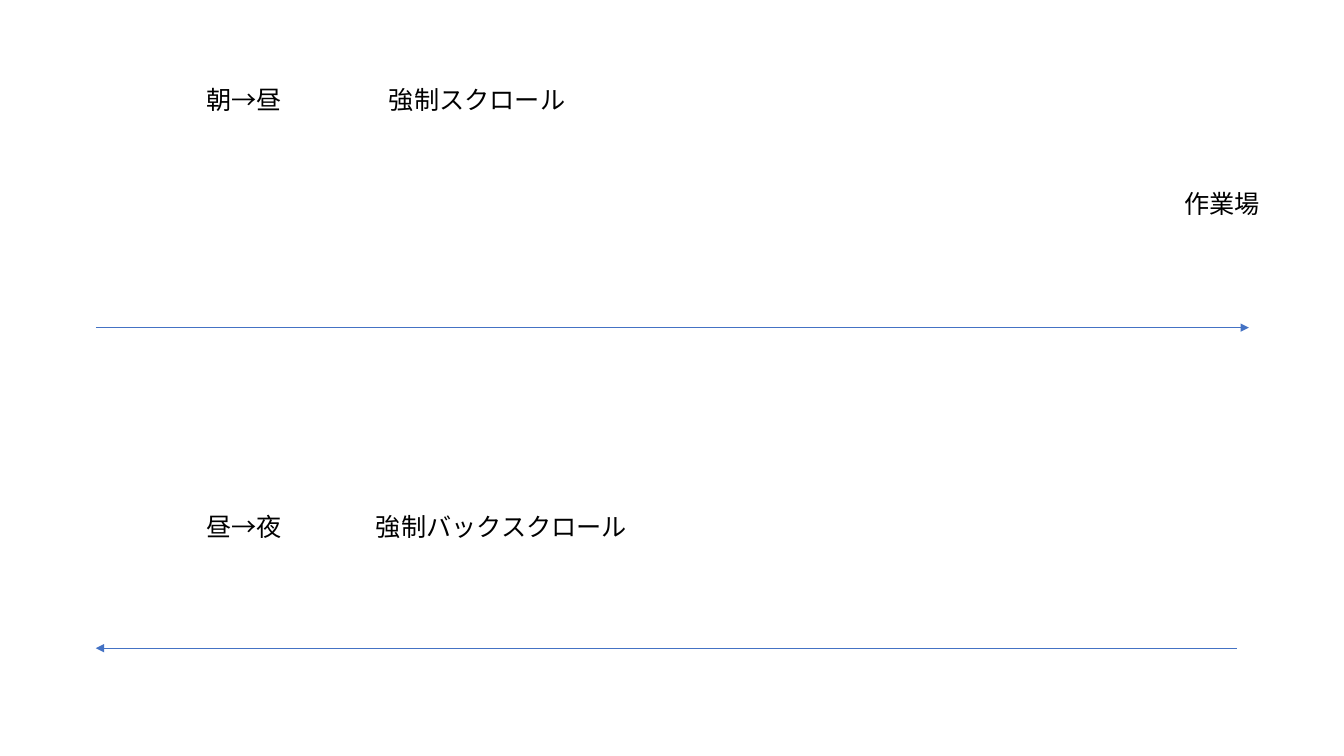
from dataclasses import dataclass

from lxml import etree
from pptx import Presentation
from pptx import util as u
from pptx.dml import color
from pptx.enum import shapes, text
from pptx.oxml import ns


@dataclass(frozen=True)
class Theme:
    font: str = "Noto Sans CJK JP"
    size: float = 18
    ink: str = "000000"
    arrow: str = "4472C4"
    arrow_width: float = 0.5


THEME = Theme()
LABEL_HEIGHT = 29.1


def add_label(slide, left, top, width, words):
    shape = slide.shapes.add_textbox(u.Pt(left), u.Pt(top), u.Pt(width), u.Pt(LABEL_HEIGHT))
    frame_format = {"word_wrap": False, "auto_size": text.MSO_AUTO_SIZE.SHAPE_TO_FIT_TEXT}
    for name, value in frame_format.items():
        setattr(shape.text_frame, name, value)
    run = shape.text_frame.paragraphs[0].add_run()
    run.text = words
    for name, value in {"name": THEME.font, "size": u.Pt(THEME.size)}.items():
        setattr(run.font, name, value)
    run.font.color.rgb = color.RGBColor.from_string(THEME.ink)
    # Japanese characters take the East Asian typeface
    etree.SubElement(run._r.get_or_add_rPr(), ns.qn("a:ea"), typeface=THEME.font)


def add_arrow(slide, start, end, y):
    arrow = slide.shapes.add_connector(
        shapes.MSO_CONNECTOR.STRAIGHT, u.Pt(start), u.Pt(y), u.Pt(end), u.Pt(y))
    arrow.line.color.rgb = color.RGBColor.from_string(THEME.arrow)
    arrow.line.width = u.Pt(THEME.arrow_width)
    etree.SubElement(arrow.line._get_or_add_ln(), ns.qn("a:tailEnd"), type="triangle")
    etree.SubElement(arrow._element.spPr, ns.qn("a:effectLst"))


def add_scroll_phase(slide, box, period, scroll, scroll_offset, scroll_width, backward=False):
    """Time of day and scroll type at the top of the box, direction arrow along its foot."""
    left, top, width, height = box
    add_label(slide, left + 72, top, 69.1, period)
    add_label(slide, left + scroll_offset, top, scroll_width, scroll)
    ends = (left, left + width)
    start, end = reversed(ends) if backward else ends
    add_arrow(slide, start, end, top + height)


def add_destination(slide, box, words):
    """Place name above the right end of the box."""
    left, top, width, _ = box
    add_label(slide, left + width - 53.3, top + 74.2, 69.1, words)


def main():
    presentation = Presentation()
    presentation.slide_width, presentation.slide_height = u.Pt(960), u.Pt(540)
    slide = presentation.slides.add_slide(presentation.slide_layouts[6])

    # Outward trip
    outward = (68.4, 56.9, 823.7, 177.1)
    add_scroll_phase(slide, outward, "朝→昼", "強制スクロール", 202.3, 141.8)
    add_destination(slide, outward, "作業場")

    # Return trip
    homeward = (68.4, 361.4, 815, 101.6)
    add_scroll_phase(slide, homeward, "昼→夜", "強制バックスクロール", 193, 196.6, backward=True)

    presentation.save("out.pptx")


if __name__ == "__main__":
    main()
